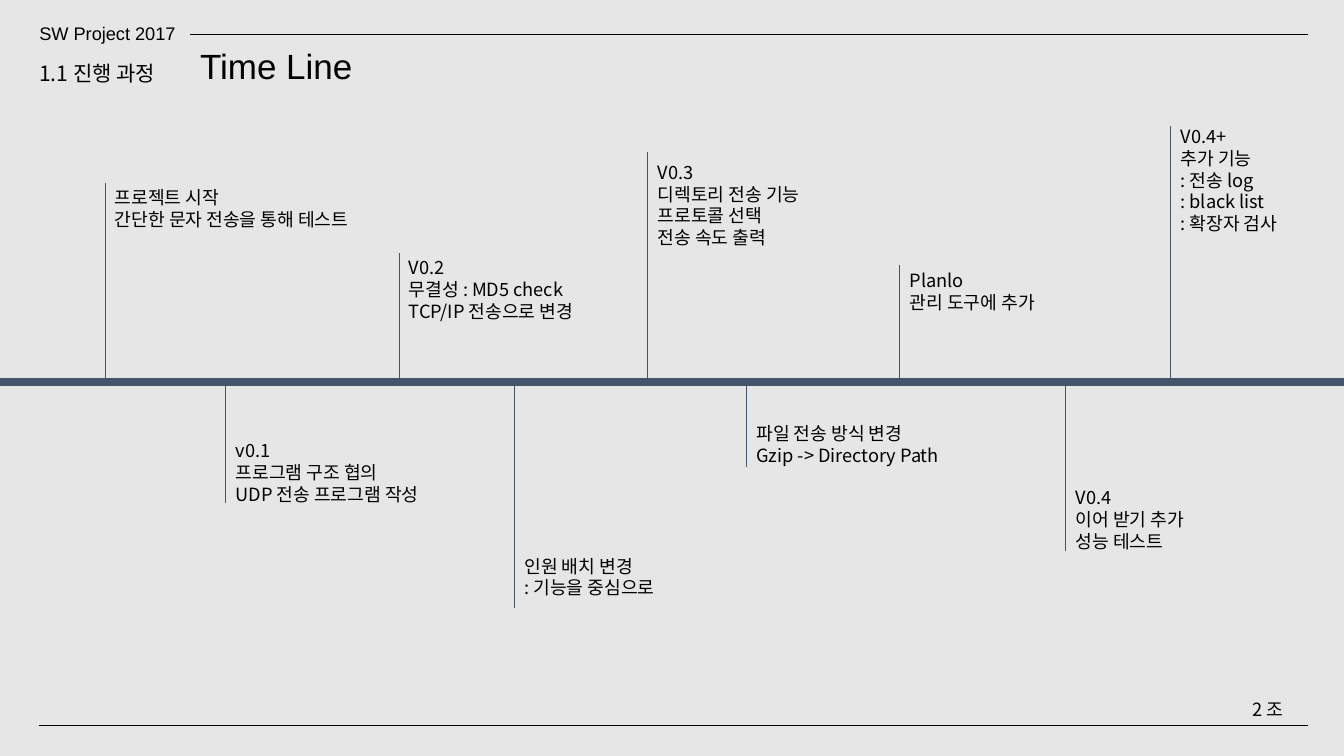
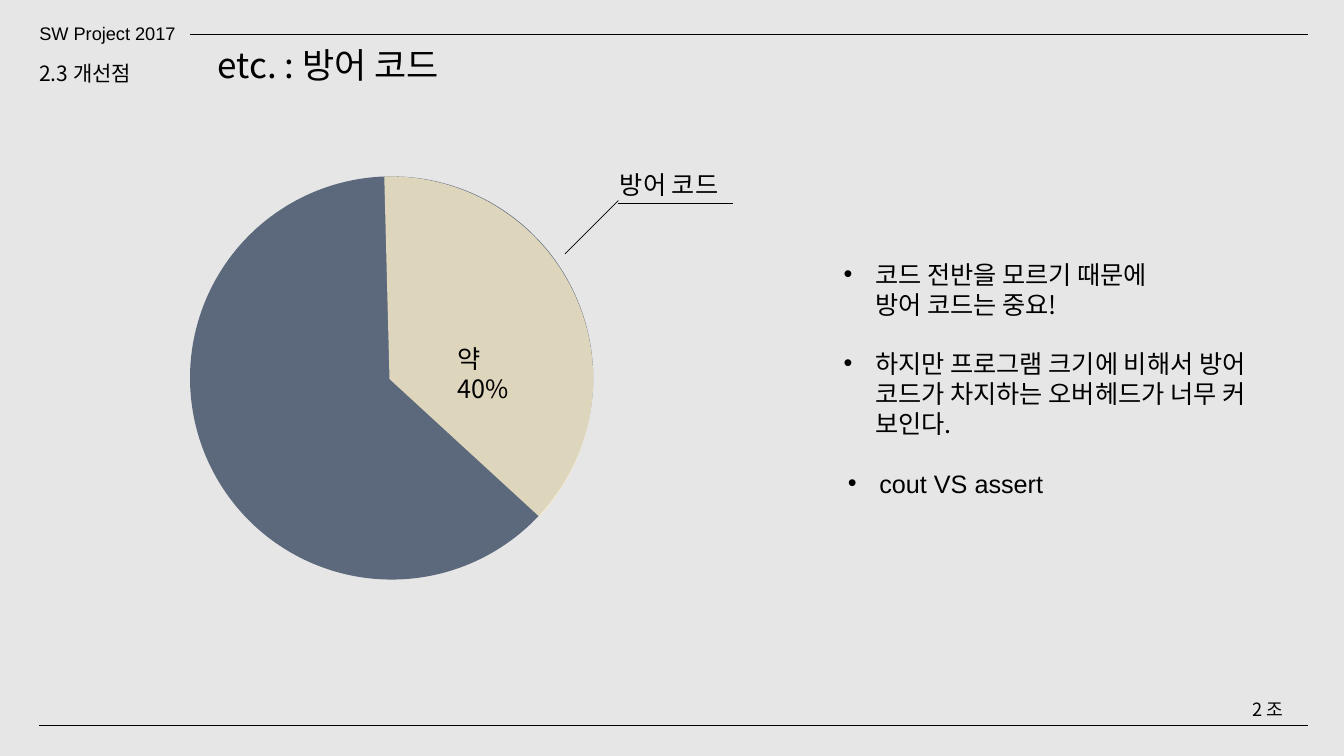
"""Build two project slides: a version timeline and a pie on defensive code."""
from dataclasses import dataclass

from pptx import Presentation
from pptx.dml.color import RGBColor
from pptx.enum.shapes import MSO_CONNECTOR, MSO_SHAPE
from pptx.enum.text import MSO_ANCHOR, MSO_AUTO_SIZE, PP_ALIGN
from pptx.oxml.ns import qn
from pptx.util import Emu, Pt
from lxml.etree import SubElement

PX = 9525
TITLE_ONLY = 5


@dataclass(frozen=True)
class Theme:
    background: str = "E7E6E6"
    ink: str = "000000"
    navy: str = "44546A"
    cream: str = "FFF2CC"
    latin: str = "Arial"
    korean: str = "Noto Sans CJK KR"
    title: int = 25
    body: int = 18
    section: int = 15
    small: int = 13
    korean_leading: float = 1.19
    thin: float = 0.5
    thick: float = 6


def px(*lengths):
    return [Emu(length * PX) for length in lengths]


class SlideBuilder:
    def __init__(self, theme):
        self.theme = theme
        self.deck = Presentation()
        self.deck.slide_width, self.deck.slide_height = px(1280, 720)
        fill = self.deck.slide_master.background.fill
        fill.solid()
        fill.fore_color.rgb = RGBColor.from_string(theme.background)
        self.page = None

    def start(self, section, title, title_area, title_font):
        theme = self.theme
        self.page = self.deck.slides.add_slide(self.deck.slide_layouts[TITLE_ONLY])
        self.line(181, 33, 1246, 33)
        self.text("SW Project 2017", (28, 17, 154, 31), theme.small, theme.latin)
        self.line(37, 691, 1246, 691)
        self.text("2 조", (1183, 661, 63, 31), theme.small)
        self.text(section, (28, 53, 170, 34), theme.section)
        heading = self.page.shapes.title
        heading.left, heading.top, heading.width, heading.height = px(*title_area)
        self.fill_frame(heading.text_frame, title, theme.title, title_font)

    def fill_frame(self, frame, text, size, font):
        frame.text = text
        frame.word_wrap = True
        frame.auto_size = MSO_AUTO_SIZE.NONE
        frame.vertical_anchor = MSO_ANCHOR.TOP
        for paragraph in frame.paragraphs:
            paragraph.alignment = PP_ALIGN.LEFT
            if font == self.theme.korean:
                paragraph.line_spacing = Pt(size * self.theme.korean_leading)
            for span in paragraph.runs:
                span.font.size = Pt(size)
                span.font.name = font
                span.font.color.rgb = RGBColor.from_string(self.theme.ink)
                east_asian = SubElement(span._r.get_or_add_rPr(), qn("a:ea"))
                east_asian.set("typeface", font)

    def text(self, text, area, size, font=None):
        box = self.page.shapes.add_textbox(*px(*area))
        self.fill_frame(box.text_frame, text, size, font or self.theme.korean)
        return box

    def bullet(self, text, area, font=None):
        box = self.text(text, area, self.theme.body, font)
        properties = box.text_frame.paragraphs[0]._p.get_or_add_pPr()
        properties.set("marL", str(30 * PX))
        properties.set("indent", str(-30 * PX))
        SubElement(properties, qn("a:buFont")).set("typeface", self.theme.latin)
        SubElement(properties, qn("a:buChar")).set("char", "•")

    def line(self, x1, y1, x2, y2, color=None, width=None):
        connector = self.page.shapes.add_connector(
            MSO_CONNECTOR.STRAIGHT, *px(x1, y1, x2, y2))
        connector.line.color.rgb = RGBColor.from_string(color or self.theme.ink)
        connector.line.width = Pt(width or self.theme.thin)
        SubElement(connector._element.spPr, qn("a:effectLst"))

    def shape(self, kind, area, color, opacity):
        shape = self.page.shapes.add_shape(kind, *px(*area))
        shape.shadow.inherit = False
        shape.fill.solid()
        shape.fill.fore_color.rgb = RGBColor.from_string(color)
        tint = shape._element.spPr.find(".//" + qn("a:srgbClr"))
        SubElement(tint, qn("a:alpha")).set("val", str(opacity * 1000))
        shape.line.fill.background()
        return shape

    def wedge(self, area, start, end, color, opacity):
        pie = self.shape(MSO_SHAPE.PIE, area, color, opacity)
        for index, degrees in enumerate((start, end)):
            pie.adjustments[index] = degrees * 0.6

    def milestone(self, axis, x, tip, top, width, lines):
        self.line(x, tip, x, axis, self.theme.navy)
        area = (x, top, width, 10 + 21 * len(lines))
        self.text("\n".join(lines), area, self.theme.small)


def timeline_slide(slides):
    theme = slides.theme
    slides.start("1.1 진행 과정", "Time Line", (181, 38, 432, 50), theme.latin)
    axis = 364
    slides.line(0, axis, 1280, axis, theme.navy, theme.thick)
    milestones = [
        (100, 174, 173, 302, ["프로젝트 시작", "간단한 문자 전송을 통해 테스트"]),
        (215, 479, 414, 220, ["v0.1", "프로그램 구조 협의", "UDP 전송 프로그램 작성"]),
        (380, 241, 240, 205, ["V0.2", "무결성 : MD5 check", "TCP/IP 전송으로 변경"]),
        (490, 579, 524, 182, ["인원 배치 변경", ": 기능을 중심으로"]),
        (617, 145, 149, 220,
         ["V0.3", "디렉토리 전송 기능", "프로토콜 선택", "전송 속도 출력"]),
        (711, 445, 398, 205, ["파일 전송 방식 변경", "Gzip -> Directory Path"]),
        (857, 252, 252, 168, ["Planlo", "관리 도구에 추가"]),
        (1015, 525, 459, 168, ["V0.4", "이어 받기 추가", "성능 테스트"]),
        (1115, 120, 115, 142,
         ["V0.4+", "추가 기능", ": 전송 log", ": black list", ": 확장자 검사"]),
    ]
    for milestone in milestones:
        slides.milestone(axis, *milestone)


def defensive_code_slide(slides):
    theme = slides.theme
    slides.start("2.3 개선점", "etc. : 방어 코드", (198, 37, 596, 50), theme.korean)
    slides.shape(MSO_SHAPE.OVAL, (181, 168, 384, 384), theme.navy, 85)
    slides.wedge((177, 168, 388, 386), 268.52, 42.57, theme.cream, 80)
    slides.text("약 40%", (426, 322, 80, 68), theme.body)
    label = slides.text("방어 코드", (581, 157, 125, 38), theme.body)
    label.text_frame.word_wrap = False
    slides.line(538, 242, 589, 191)
    slides.line(589, 194, 698, 194)
    slides.bullet("코드 전반을 모르기 때문에 방어 코드는 중요!", (794, 242, 346, 68))
    slides.bullet("하지만 프로그램 크기에 비해서 방어 코드가 차지하는 오버헤드가 너무 커 보인다.",
                  (794, 327, 417, 97))
    slides.bullet("cout VS assert", (798, 441, 417, 38), theme.latin)


def main():
    slides = SlideBuilder(Theme())
    timeline_slide(slides)
    defensive_code_slide(slides)
    slides.deck.save("out.pptx")


if __name__ == "__main__":
    main()
